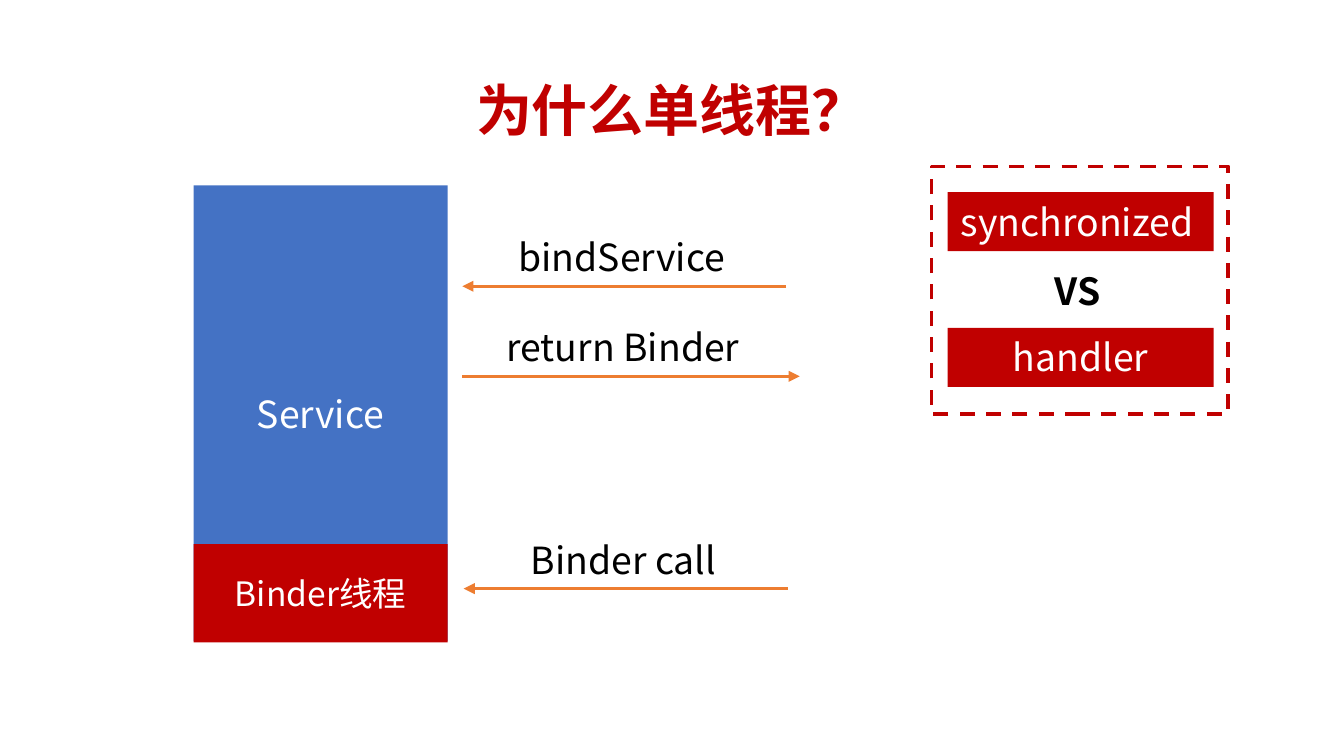
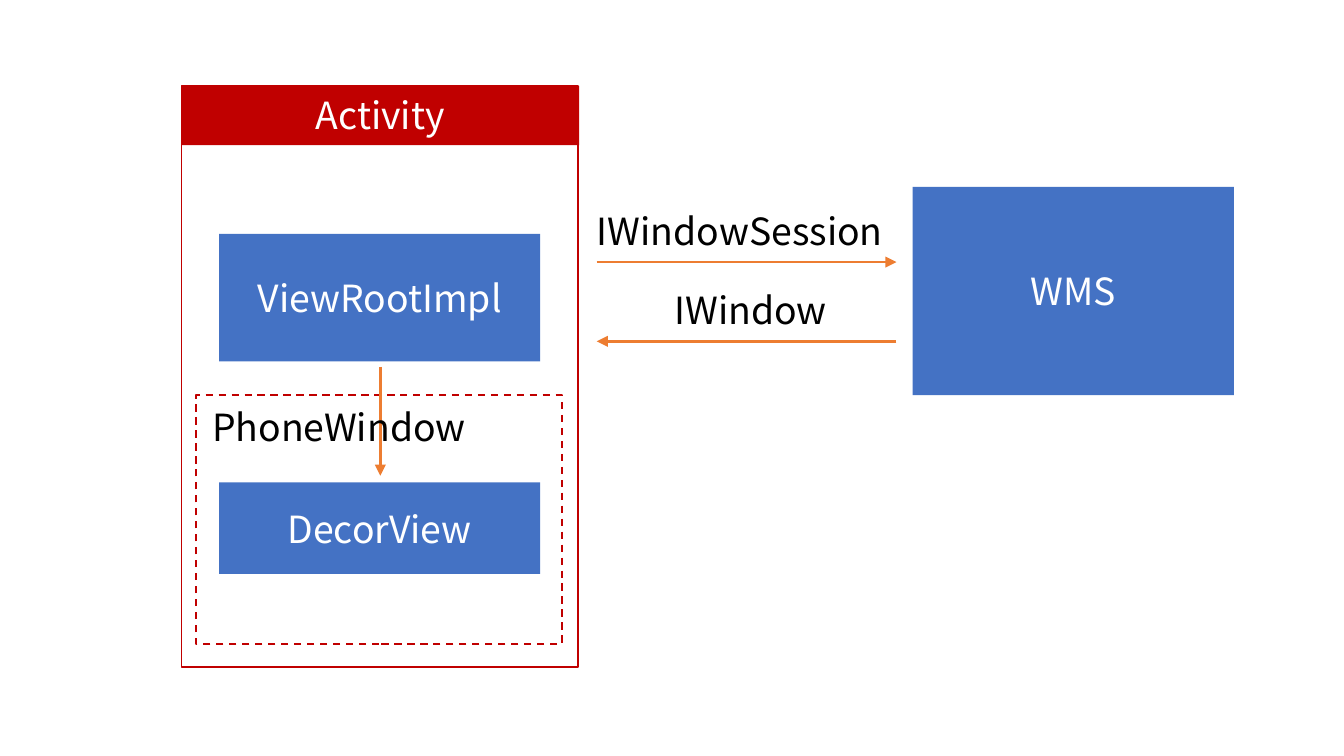
"""Build two slides on Binder threading and the Activity window structure."""
from lxml import etree
from pptx import Presentation
from pptx.dml.color import RGBColor
from pptx.enum import dml, shapes, text
from pptx.oxml.ns import qn
from pptx.util import Inches, Pt

FONT = "Noto Sans CJK SC"
RED, BLUE, ORANGE, WHITE, BLACK = "C00000", "4472C4", "ED7D31", "FFFFFF", "000000"
LEFT, CENTER = text.PP_ALIGN.LEFT, text.PP_ALIGN.CENTER
LABEL_H = 0.44


def style(sp, color, size=20, bold=False, align=CENTER):
    """Format the single paragraph of a shape."""
    p = sp.text_frame.paragraphs[0]
    p.alignment = align
    r = p.runs[0]
    r.font.name, r.font.size, r.font.bold = FONT, Pt(size), bold
    r.font.color.rgb = RGBColor.from_string(color)
    etree.SubElement(r.font._element, qn("a:ea"), typeface=FONT)


def rect(s, at, fill=None, words="", size=20, line=None, dash=False, align=CENTER):
    """Add a filled or outlined rectangle, with text if given."""
    sp = s.shapes.add_shape(shapes.MSO_SHAPE.RECTANGLE, *map(Inches, at))
    sp.shadow.inherit = False
    if fill:
        sp.fill.solid()
        sp.fill.fore_color.rgb = RGBColor.from_string(fill)
    else:
        sp.fill.background()
    if line:
        sp.line.color.rgb = RGBColor.from_string(RED)
        sp.line.width = Pt(line)
        if dash:
            sp.line.dash_style = dml.MSO_LINE.DASH
    else:
        sp.line.fill.background()
    if words:
        tf = sp.text_frame
        tf.text = words
        tf.word_wrap = align == CENTER
        is_label = at[3] == LABEL_H
        tf.vertical_anchor = text.MSO_ANCHOR.TOP if is_label else text.MSO_ANCHOR.MIDDLE
        style(sp, WHITE, size, align=align)


prs = Presentation()
prs.slide_width = Inches(10)
prs.slide_height = prs.slide_width * 9 // 16
thread = prs.slides.add_slide(prs.slide_layouts[5])
window = prs.slides.add_slide(prs.slide_layouts[6])

title = thread.shapes.title
title.left, title.top, title.width, title.height = map(Inches, (0.69, 0.3, 8.62, 1.09))
title.text_frame.text = "为什么单线程？"
title.text_frame.vertical_anchor = text.MSO_ANCHOR.MIDDLE
title.text_frame.paragraphs[0].line_spacing = 0.9
style(title, RED, 30, True)

rect(thread, (1.44, 1.38, 1.89, 3.39), BLUE, "Service")
rect(thread, (1.44, 4.05, 1.89, 0.73), RED, "Binder线程", 18)
for y, words, align in [(1.43, "synchronized", LEFT), (2.44, "handler", CENTER)]:
    rect(thread, (7.05, y, 1.98, LABEL_H), RED, words, align=align)
rect(thread, (6.93, 1.24, 2.21, 1.84), line=2, dash=True)

for y, h, words in [(1.74, 0.95, "ViewRootImpl"), (3.59, 0.68, "DecorView")]:
    rect(window, (1.63, y, 2.39, h), BLUE, words)
rect(window, (6.79, 1.39, 2.39, 1.55), BLUE, "WMS")
rect(window, (1.35, 0.64, 2.95, 4.32), line=1)
rect(window, (1.35, 0.64, 2.96, LABEL_H), RED, "Activity")
rect(window, (1.46, 2.94, 2.72, 1.85), line=1, dash=True)

arrows = [
    (thread, 5.85, 2.13, 3.44, 2.13),
    (thread, 3.44, 2.8, 5.95, 2.8),
    (thread, 5.86, 4.38, 3.45, 4.38),
    (window, 4.44, 1.95, 6.67, 1.95),
    (window, 6.67, 2.54, 4.44, 2.54),
    (window, 2.83, 2.73, 2.83, 3.54),
]
for s, *ends in arrows:
    c = s.shapes.add_connector(shapes.MSO_CONNECTOR.STRAIGHT, *map(Inches, ends))
    c.line.color.rgb = RGBColor.from_string(ORANGE)
    c.line.width = Pt(1.5)
    etree.SubElement(c.line._get_or_add_ln(), qn("a:tailEnd"), type="triangle")
    etree.SubElement(c._element.spPr, qn("a:effectLst"))

labels = [
    (thread, 3.76, 1.69, 1.77, "bindService"),
    (thread, 3.67, 2.36, 1.98, "return Binder"),
    (thread, 3.85, 3.95, 1.6, "Binder call"),
    (thread, 7.75, 1.95, 0.57, "VS"),
    (window, 4.34, 1.5, 2.41, "IWindowSession"),
    (window, 4.92, 2.09, 1.4, "IWindow"),
    (window, 1.48, 2.96, 2.17, "PhoneWindow"),
]
for s, x, y, w, words in labels:
    sp = s.shapes.add_textbox(*map(Inches, (x, y, w, LABEL_H)))
    sp.text_frame.text = words
    sp.text_frame.word_wrap = False
    style(sp, BLACK, bold=words == "VS", align=LEFT)

prs.save("out.pptx")
